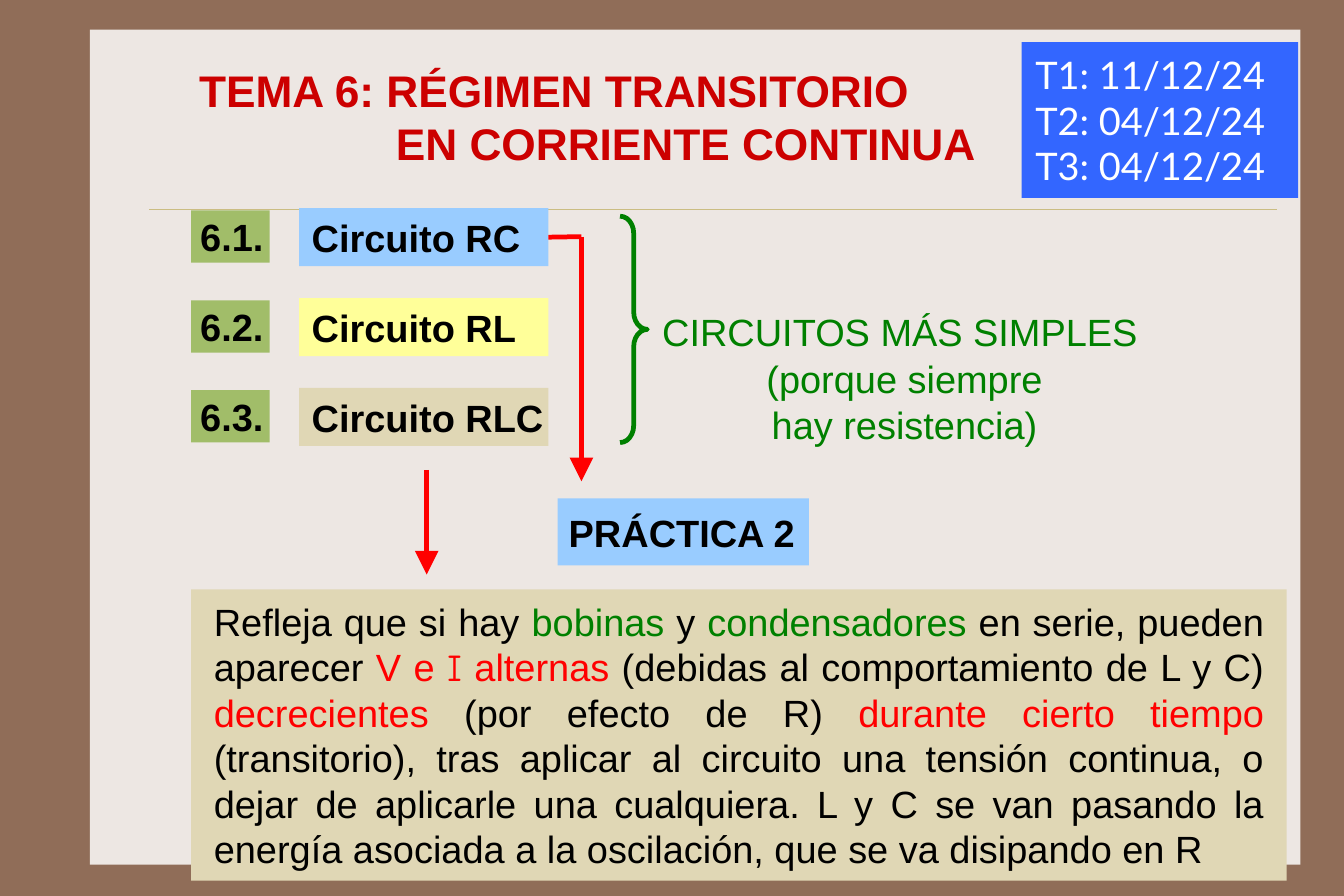
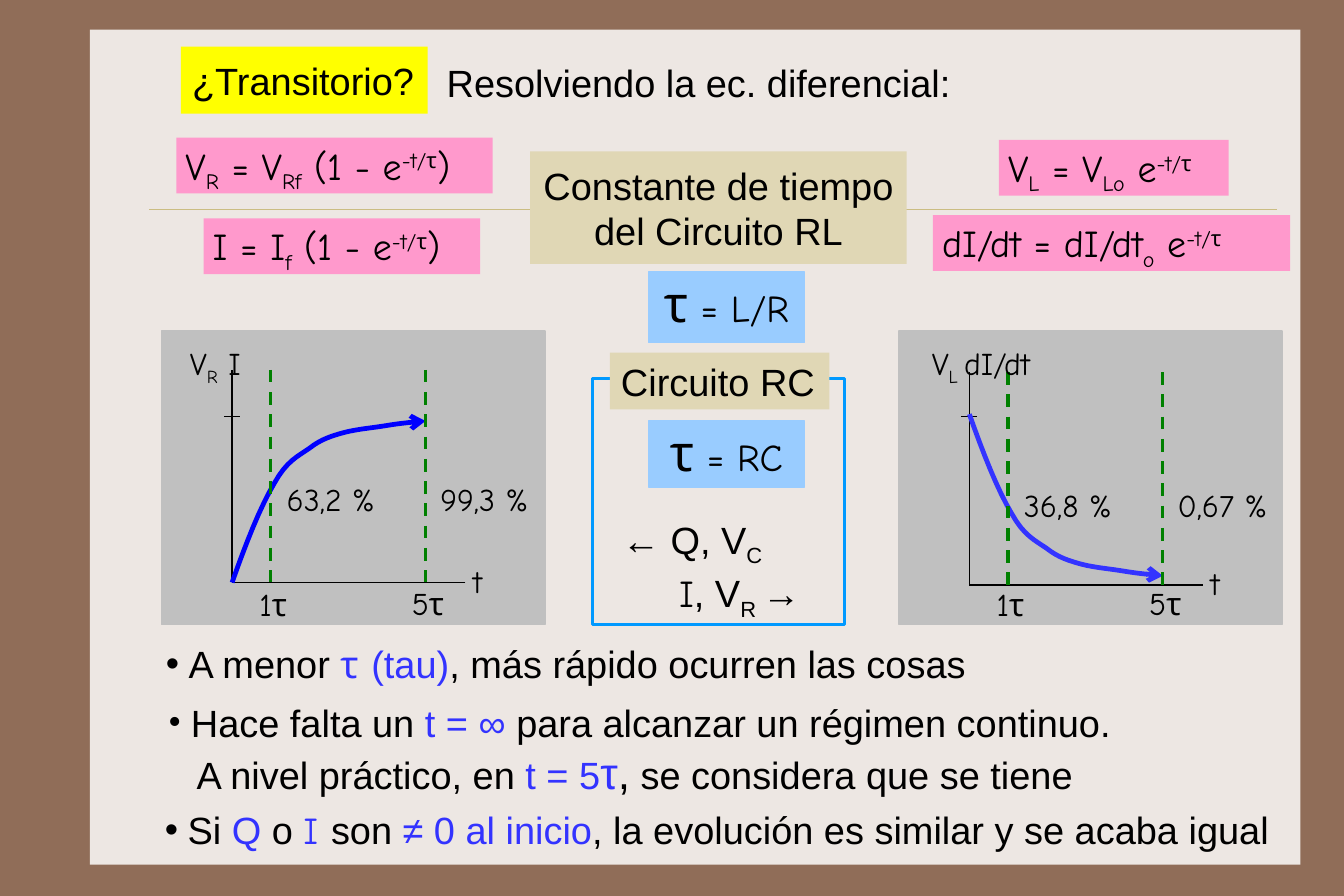
"""Build two slides on transient response in direct-current circuits."""
from lxml import etree
from pptx import Presentation
from pptx.dml.color import RGBColor
from pptx.enum.dml import MSO_LINE
from pptx.enum.shapes import MSO_CONNECTOR, MSO_SHAPE
from pptx.enum.text import MSO_ANCHOR, PP_ALIGN
from pptx.oxml.ns import qn
from pptx.util import Inches, Pt

RECTANGLE, BRACE = MSO_SHAPE.RECTANGLE, MSO_SHAPE.RIGHT_BRACE
STRAIGHT, DASH = MSO_CONNECTOR.STRAIGHT, MSO_LINE.DASH
LEFT, CENTER, JUSTIFY = PP_ALIGN.LEFT, PP_ALIGN.CENTER, PP_ALIGN.JUSTIFY
TOP, MIDDLE = MSO_ANCHOR.TOP, MSO_ANCHOR.MIDDLE

BROWN, CREAM, RULE = "906D58", "EDE7E3", "CBBD83"
BLACK, WHITE, GRAY = "000000", "FFFFFF", "C0C0C0"
RED, GREEN, INDIGO = "FF0000", "008000", "3333FF"
SKY, SAND, PINK, OLIVE = "99CCFF", "E0D7B5", "FF99CC", "A1BD69"
COMIC = "Comic Neue"

IN_RED, IN_GREEN, IN_INDIGO = {"color": RED}, {"color": GREEN}, {"color": INDIGO}
SUB, SUP, BIG = {"baseline": "-25000"}, {"baseline": "30000"}, {"size": 32}
LARGE_HEAD = {"type": "triangle", "w": "lg", "len": "lg"}
OPEN_HEAD = {"type": "arrow"}


def add_box(slide, at, paragraphs=(), fill=None, line=None, width=1, kind=RECTANGLE,
            size=24, color=BLACK, font="Arial", bold=False, align=LEFT, inset=0.1,
            top_inset=None):
    """Add a shape or text box; a run is a string or a (string, style) pair."""
    place = [Inches(value) for value in at]
    if fill or line:
        shape = slide.shapes.add_shape(kind, *place)
        shape.shadow.inherit = False
        shape.fill.background()
        shape.line.fill.background()
    else:
        shape = slide.shapes.add_textbox(*place)
    if fill:
        shape.fill.solid()
        shape.fill.fore_color.rgb = RGBColor.from_string(fill)
    if line:
        shape.line.color.rgb = RGBColor.from_string(line)
        shape.line.width = Pt(width)
    frame = shape.text_frame
    frame.word_wrap = True
    frame.vertical_anchor = MIDDLE if top_inset is None else TOP
    frame.margin_top = Inches(top_inset or 0)
    frame.margin_bottom = 0
    frame.margin_left = Inches(inset)
    frame.margin_right = 0 if align == LEFT else Inches(inset)
    for index, runs in enumerate(paragraphs):
        paragraph = frame.paragraphs[0] if index == 0 else frame.add_paragraph()
        paragraph.alignment = align
        largest = size
        for item in runs:
            text, style = (item, {}) if isinstance(item, str) else item
            run = paragraph.add_run()
            run.text = text
            run_size = style.get("size", size)
            largest = max(largest, run_size)
            run.font.size = Pt(run_size)
            run.font.name = style.get("font", font)
            run.font.bold = bold
            run.font.color.rgb = RGBColor.from_string(style.get("color", color))
            if "baseline" in style:
                run.font._element.set("baseline", style["baseline"])
        if top_inset is None:
            paragraph.line_spacing = Pt(largest * 1.2)
    return shape


def add_line(slide, points, color, width, dash=None, head=None):
    """Draw a connector through two points or an open outline through more."""
    places = [(Inches(x), Inches(y)) for x, y in points]
    if len(places) == 2:
        shape = slide.shapes.add_connector(STRAIGHT, *places[0], *places[1])
    else:
        builder = slide.shapes.build_freeform(*places[0])
        builder.add_line_segments(places[1:], close=False)
        shape = builder.convert_to_shape()
        shape.fill.background()
    shape.line.color.rgb = RGBColor.from_string(color)
    shape.line.width = Pt(width)
    if dash:
        shape.line.dash_style = dash
    properties = shape._element.spPr
    if head:
        etree.SubElement(properties.find(qn("a:ln")), qn("a:tailEnd"), head)
    etree.SubElement(properties, qn("a:effectLst"))
    return shape


presentation = Presentation()
presentation.slide_width = Inches(189 / 16)
presentation.slide_height = Inches(63 / 8)
background = presentation.slide_master.background.fill
background.solid()
background.fore_color.rgb = RGBColor.from_string(BROWN)
for _ in range(2):
    slide = presentation.slides.add_slide(presentation.slide_layouts[6])
    add_box(slide, (0.79, 0.26, 10.64, 7.34), fill=CREAM)
    add_line(slide, [(1.31, 1.84), (11.22, 1.84)], RULE, 0.25)
topics_slide, solution_slide = presentation.slides

slide = topics_slide
title = add_box(slide, (1.64, 0.5, 9.32, 1.04),
                [["TEMA 6: RÉGIMEN TRANSITORIO"], ["EN CORRIENTE CONTINUA"]],
                size=28, color="CC0000", bold=True, inset=0.11)
title.text_frame.paragraphs[1]._p.get_or_add_pPr().set("marL", str(Inches(1.73)))
add_box(slide, (8.98, 0.37, 2.43, 1.37),
        [["T1: 11/12/24"], ["T2: 04/12/24"], ["T3: 04/12/24"]],
        fill="3366FF", color=WHITE, font="Lato", inset=0.12)

topics = []
for index, (name, fill) in enumerate([("RC", SKY), ("RL", "FFFF99"), ("RLC", SAND)]):
    top = 1.83 + 0.79 * index
    add_box(slide, (1.68, top + 0.02, 0.69, 0.46), [[f"6.{index + 1}."]],
            fill=OLIVE, bold=True, inset=0.08)
    topics.append(add_box(slide, (2.63, top, 2.19, 0.51), [[f"Circuito {name}"]],
                          fill=fill, bold=True, inset=0.11))

branch = add_line(slide, [(4.82, 2.08), (5.11, 2.08)], RED, 3)
branch.begin_connect(topics[0], 3)
add_line(slide, [(5.11, 2.08), (5.11, 4.23)], RED, 3, head=LARGE_HEAD)
add_line(slide, [(3.75, 4.13), (3.75, 5.05)], RED, 3, head=LARGE_HEAD)

brace = add_box(slide, (5.45, 1.9, 0.24, 1.99), line=GREEN, width=3, kind=BRACE)
brace.adjustments[0] = 0.63
add_box(slide, (5.51, 2.62, 4.8, 0.59), [["CIRCUITOS MÁS SIMPLES"]],
        color=GREEN, align=CENTER)
add_box(slide, (6.4, 3.03, 3.1, 0.99), [["(porque siempre hay resistencia)"]],
        color=GREEN, align=CENTER)
add_box(slide, (4.9, 4.38, 2.21, 0.59), [["PRÁCTICA 2"]], fill=SKY, bold=True)
add_box(slide, (1.68, 5.18, 9.63, 2.56), [[
    "Refleja que si hay ", ("bobinas", IN_GREEN), " y ", ("condensadores", IN_GREEN),
    " en serie, pueden aparecer ", ("V e ", IN_RED),
    ("I", {"color": RED, "font": COMIC}), (" alternas", IN_RED),
    " (debidas al comportamiento de L y C) ", ("decrecientes", IN_RED),
    " (por efecto de R) ", ("durante cierto tiempo ", IN_RED),
    "(transitorio), tras aplicar al circuito una tensión continua, o dejar de "
    "aplicarle una cualquiera. L y C se van pasando la energía asociada a la "
    "oscilación, que se va disipando en R"]], fill=SAND, align=JUSTIFY, inset=0.2)

slide = solution_slide
add_box(slide, (1.59, 0.41, 2.17, 0.59), [["¿Transitorio?"]], fill="FFFF00")
add_box(slide, (3.27, 0.47, 5.74, 0.5), [["Resolviendo la ec. diferencial:"]],
        align=CENTER)

decay = [" e", ("-t/τ", SUP)]
growth = [" (1 - e", ("-t/τ", SUP), ")"]
formulas = [
    ((1.55, 1.21, 2.78, 0.49), ["V", ("R", SUB), " = V", ("Rf", SUB), *growth]),
    ((1.79, 1.92, 2.43, 0.49), ["I = I", ("f", SUB), *growth]),
    ((8.78, 1.23, 2.02, 0.49), ["V", ("L", SUB), " = V", ("Lo", SUB), *decay]),
    ((8.2, 1.89, 3.14, 0.49), ["dI/dt = dI/dt", ("o", SUB), *decay]),
]
for at, runs in formulas:
    add_box(slide, at, [runs], fill=PINK, font=COMIC, inset=0.08, top_inset=0.04)

add_box(slide, (4.66, 1.33, 3.31, 0.99),
        [["Constante de tiempo"], ["del Circuito RL"]], fill=SAND, align=CENTER)
add_box(slide, (5.21, 3.33, 2.21, 2.16), line="0099FF", width=2)
add_box(slide, (5.36, 3.1, 1.93, 0.5), [["Circuito RC"]], fill=SAND)
for top, height, constant in [(2.39, 0.62, "L/R"), (3.7, 0.58, "RC")]:
    add_box(slide, (5.7, top, 1.37, height), [[("τ", BIG), f" = {constant}"]],
            fill=SKY, line=SKY, font=COMIC, align=CENTER, top_inset=0)
add_box(slide, (5.37, 4.49, 1.46, 0.5), [["← Q, V", ("C", SUB)]], top_inset=0.05)
add_box(slide, (5.87, 4.96, 1.38, 0.5),
        [[("I", {"font": COMIC}), ", V", ("R ", SUB), "→"]], top_inset=0.05)

curve_x = [0, 0.12, 0.25, 0.37, 0.48, 0.58, 0.68, 0.78,
           0.88, 0.99, 1.11, 1.24, 1.36, 1.48, 1.59, 1.7]
curve_y = [0, 0.34, 0.67, 0.87, 1.07, 1.11, 1.18, 1.26,
           1.29, 1.32, 1.35, 1.36, 1.38, 1.4, 1.41, 1.42]
controls = list(zip(curve_x, curve_y))
curve = [controls[0]]
for first in range(0, len(controls) - 1, 3):
    for step in range(1, 9):
        t = step / 8
        weights = ((1 - t) ** 3, 3 * t * (1 - t) ** 2, 3 * t * t * (1 - t), t ** 3)
        curve.append(tuple(
            sum(weight * point[axis]
                for weight, point in zip(weights, controls[first:first + 4]))
            for axis in (0, 1)))

graphs = [
    (1.42, 3.25, 5.12, -1, "0000FF", 0.17, ["V", ("R", SUB), " I"],
     "63,2 %", "99,3 %", 4.18),
    (7.9, 3.27, 3.64, 1, INDIGO, 0.21, ["V", ("L ", SUB), "dI/dt"],
     "36,8 %", "0,67 %", 4.23),
]
for (left, top, start, direction, color, name_offset, name,
     early, late, percent_top) in graphs:
    origin, bottom = left + 0.62, top + 1.87
    add_box(slide, (left, 2.91, 3.37, 2.58), fill=GRAY, line=GRAY)
    for ends in ([(origin, top), (origin, bottom)],
                 [(origin + 2.05, bottom), (origin, bottom)],
                 [(origin - 0.07, 3.66), (origin + 0.07, 3.66)]):
        add_line(slide, ends, BLACK, 1)
    add_line(slide, [(origin + x, start + direction * y) for x, y in curve],
             color, 3, head=OPEN_HEAD)
    for offset in (0.34, 1.7):
        add_line(slide, [(origin + offset, top), (origin + offset, bottom)],
                 GREEN, 2, dash=DASH)
    labels = [
        (name_offset, 2.98, 1.3, name),
        (2.66, bottom - 0.22, 0.3, ["t"]),
        (0.78, 5.1, 0.45, ["1τ"]),
        (2.12, 5.09, 0.46, ["5τ"]),
        (1.02, percent_top, 1.07, [early]),
        (2.37, percent_top, 1.07, [late]),
    ]
    for offset, label_top, width, runs in labels:
        add_box(slide, (left + offset, label_top, width, 0.43), [runs],
                size=20, font=COMIC, inset=0.08, top_inset=0.04)

indigo_comic = {"color": INDIGO, "font": COMIC}
conclusions = [
    ((1.36, 5.58, 7.52, 0.5), "Arial", [
        ["A menor ", ("τ ", indigo_comic), ("(tau)", IN_INDIGO),
         ", más rápido ocurren las cosas"]]),
    ((1.38, 6.05, 8.93, 1.06), "Times New Roman", [
        ["Hace falta un ", ("t = ∞ ", IN_INDIGO), "para alcanzar un régimen continuo."],
        ["A nivel práctico, en ", ("t = 5", IN_INDIGO),
         ("τ", {"color": INDIGO, "size": 28}), (",", {"size": 28}),
         " se considera que se tiene"]]),
    ((1.35, 7.04, 10.08, 0.5), "Arial", [
        ["Si ", ("Q", IN_INDIGO), " o ", ("I ", indigo_comic), "son ",
         ("≠ 0 al inicio", IN_INDIGO), ", la evolución es similar y se acaba igual"]]),
]
for at, bullet_font, paragraphs in conclusions:
    box = add_box(slide, at, paragraphs)
    bulleted, *continued = box.text_frame.paragraphs
    properties = bulleted._p.get_or_add_pPr()
    properties.set("marL", str(Inches(0.2)))
    properties.set("indent", str(Inches(-0.2)))
    etree.SubElement(properties, qn("a:buFont"), typeface=bullet_font)
    etree.SubElement(properties, qn("a:buChar"), char="•")
    for paragraph in continued:
        paragraph._p.get_or_add_pPr().set("marL", str(Inches(0.25)))

presentation.save("out.pptx")
